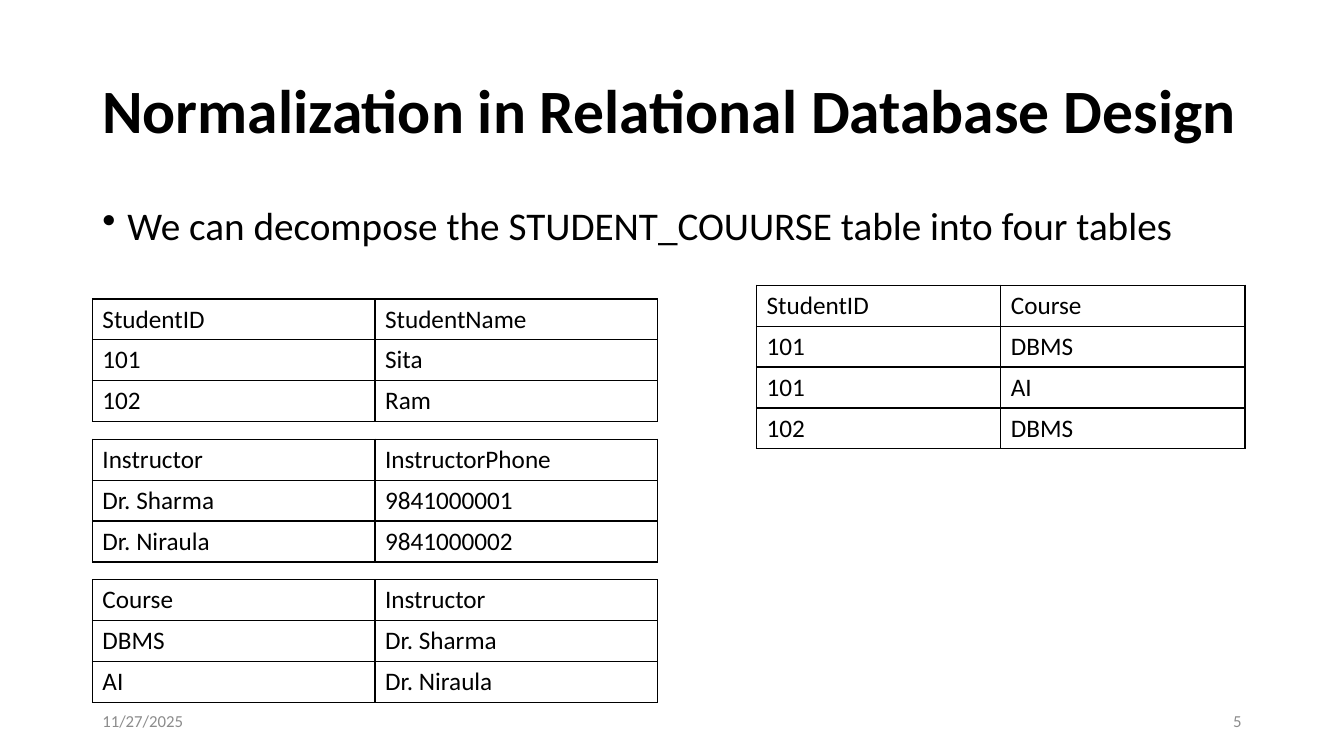
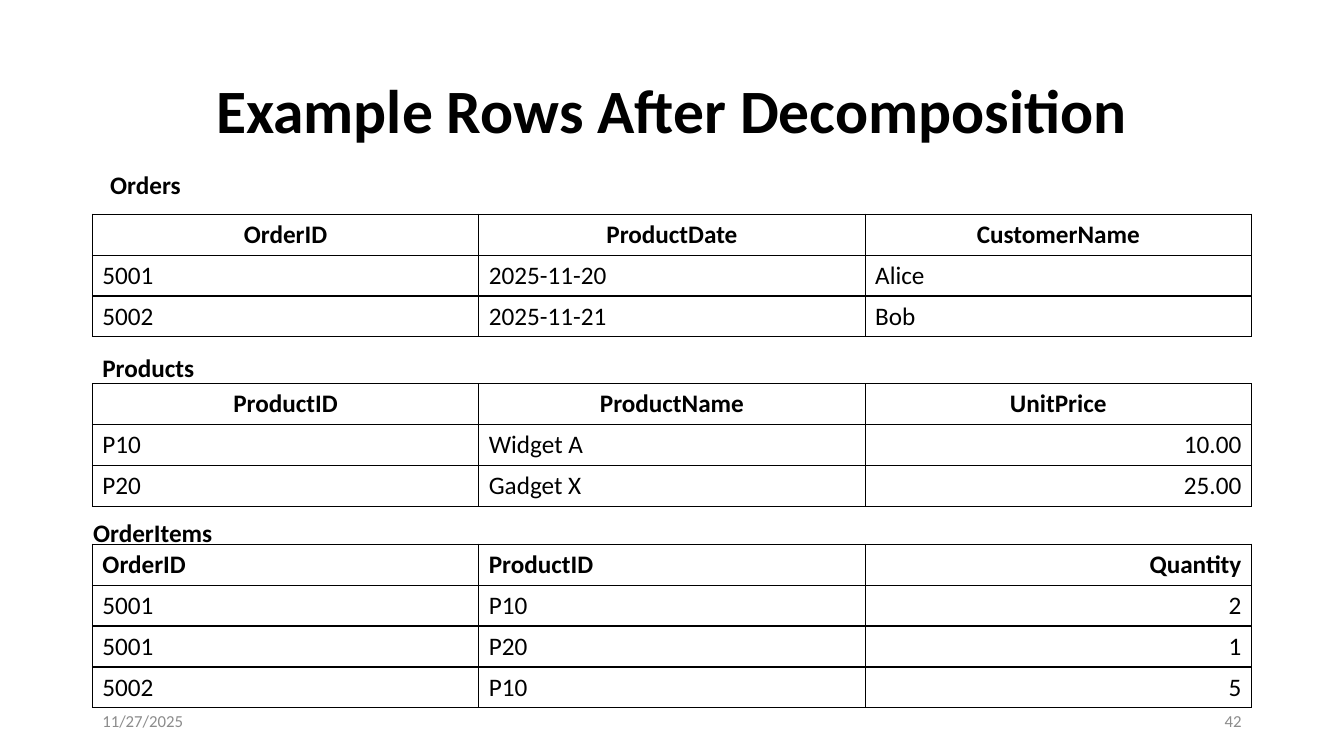
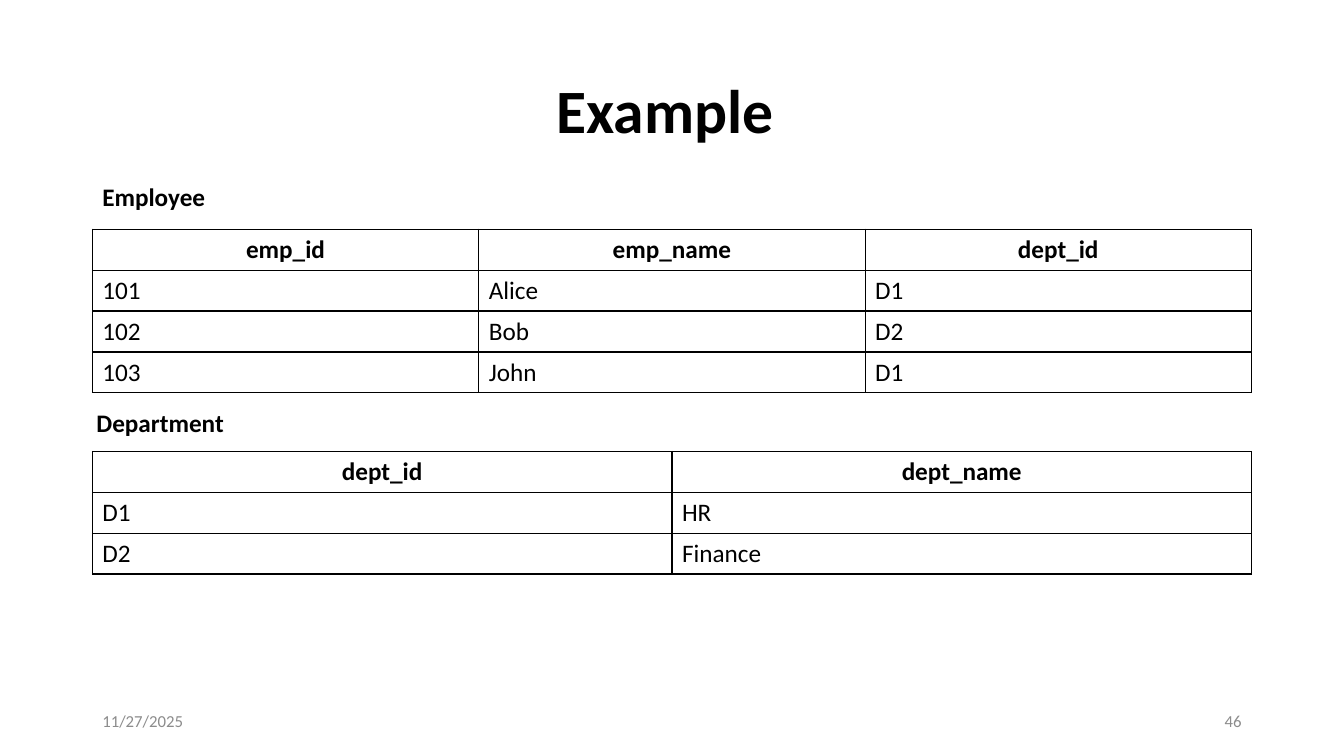
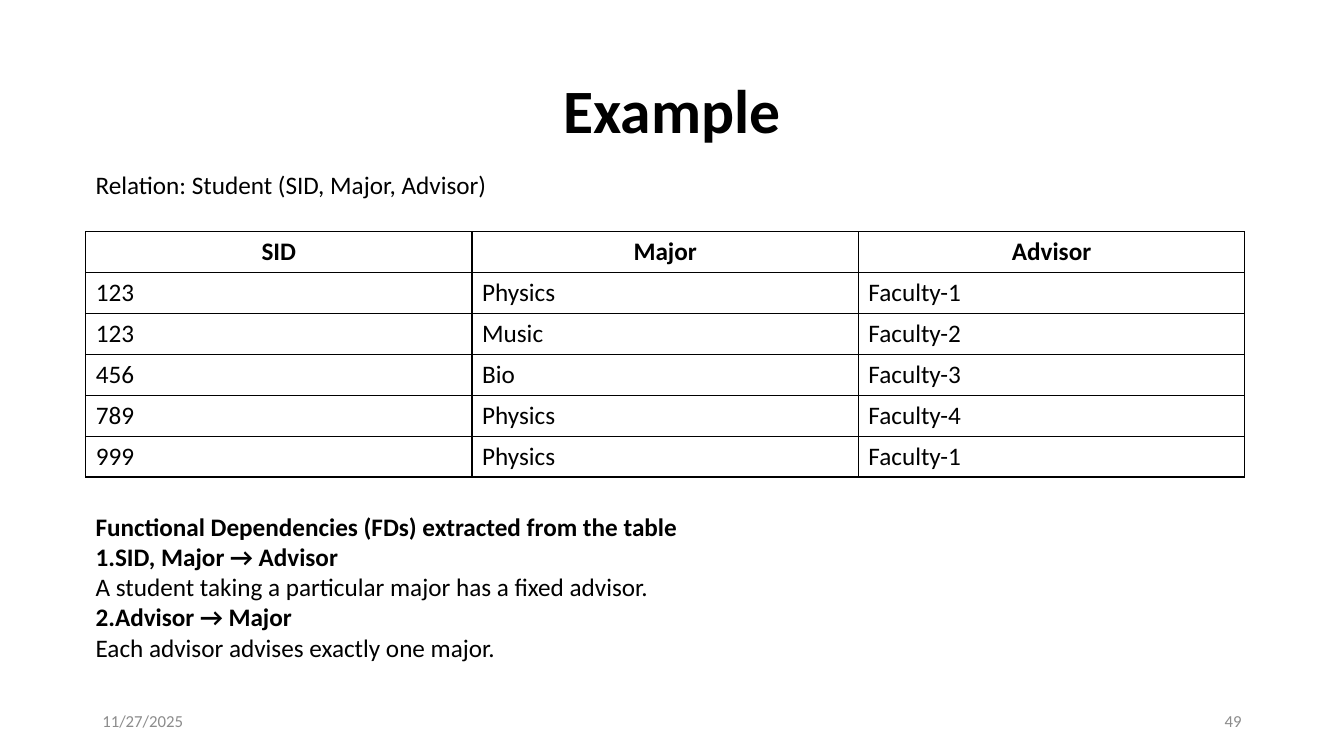
import dataclasses
import typing

import pptx
import pptx.dml.color
import pptx.enum.text
import pptx.oxml
import pptx.oxml.ns
import pptx.util

Pt = pptx.util.Pt
ALIGN = {
    "l": pptx.enum.text.PP_ALIGN.LEFT,
    "c": pptx.enum.text.PP_ALIGN.CENTER,
    "r": pptx.enum.text.PP_ALIGN.RIGHT,
}
MIDDLE = pptx.enum.text.MSO_ANCHOR.MIDDLE
TOP = pptx.enum.text.MSO_ANCHOR.TOP

FONT = "Calibri"
BLACK = "000000"
GREY = "8C8C8C"
LEFT = 66
CONTENT_W = 828
FOOTER_Y = 500.5
FOOTER_W = 216
ROW_H = 29.2
LABEL_H = 29
DATE = "11/27/2025"


@dataclasses.dataclass(frozen=True)
class Label:
    text: str
    x: float
    y: float
    w: float = 480
    bold: bool = True
    wrap: bool = True


@dataclasses.dataclass(frozen=True)
class Grid:
    x: float
    y: float
    w: float
    rows: tuple[tuple[str, ...], ...]
    head: str = "ccc"
    body: str = "lll"
    bold_head: bool = True


@dataclasses.dataclass(frozen=True)
class Page:
    title: str
    number: int
    grids: tuple[Grid, ...]
    labels: tuple[Label, ...] = ()
    align: str = "c"


def plain_grid(x: float, y: float, w: float, *rows: tuple[str, ...]) -> Grid:
    return Grid(x, y, w, rows, head="ll", body="ll", bold_head=False)


PAGES = (
    Page(
        "Normalization in Relational Database Design", 5,
        (
            plain_grid(LEFT, 213.6, 403.8, ("StudentID", "StudentName"),
                       ("101", "Sita"), ("102", "Ram")),
            plain_grid(LEFT, 313.8, 403.8, ("Instructor", "InstructorPhone"),
                       ("Dr. Sharma", "9841000001"), ("Dr. Niraula", "9841000002")),
            plain_grid(LEFT, 414, 403.8, ("Course", "Instructor"),
                       ("DBMS", "Dr. Sharma"), ("AI", "Dr. Niraula")),
            plain_grid(540.4, 203.8, 349, ("StudentID", "Course"),
                       ("101", "DBMS"), ("101", "AI"), ("102", "DBMS")),
        ),
        align="l",
    ),
    Page(
        "Example Rows After Decomposition", 42,
        (
            Grid(LEFT, 153, CONTENT_W, (
                ("OrderID", "ProductDate", "CustomerName"),
                ("5001", "2025-11-20", "Alice"),
                ("5002", "2025-11-21", "Bob"),
            )),
            Grid(LEFT, 274.2, CONTENT_W, (
                ("ProductID", "ProductName", "UnitPrice"),
                ("P10", "Widget A", "10.00"),
                ("P20", "Gadget X", "25.00"),
            ), body="llr"),
            Grid(LEFT, 388.8, CONTENT_W, (
                ("OrderID", "ProductID", "Quantity"),
                ("5001", "P10", "2"),
                ("5001", "P20", "1"),
                ("5002", "P10", "5"),
            ), head="llr", body="llr"),
        ),
        (
            Label("Orders", 71.6, 117.4),
            Label("Products", LEFT, 248.4),
            Label("OrderItems", 59.4, 366),
        ),
    ),
    Page(
        "Example ", 46,
        (
            Grid(LEFT, 163.8, CONTENT_W, (
                ("emp_id", "emp_name", "dept_id"),
                ("101", "Alice", "D1"),
                ("102", "Bob", "D2"),
                ("103", "John", "D1"),
            )),
            Grid(LEFT, 322.4, CONTENT_W, (
                ("dept_id", "dept_name"),
                ("D1", "HR"),
                ("D2", "Finance"),
            )),
        ),
        (
            Label("Employee", LEFT, 126.2, 88.6, wrap=False),
            Label("Department", 61.8, 287.4, 106.6, wrap=False),
        ),
    ),
    Page(
        "Example", 49,
        (
            Grid(61.2, 165.6, CONTENT_W, (
                ("SID", "Major", "Advisor"),
                ("123", "Physics", "Faculty-1"),
                ("123", "Music", "Faculty-2"),
                ("456", "Bio", "Faculty-3"),
                ("789", "Physics", "Faculty-4"),
                ("999", "Physics", "Faculty-1"),
            )),
        ),
        (Label("Relation: Student (SID, Major, Advisor)", 61.2, 117.4, bold=False),),
    ),
)

DEPENDENCIES = (
    ("SID, Major → Advisor", "A student taking a particular major has a fixed advisor."),
    ("Advisor → Major", "Each advisor advises exactly one major."),
)


def rgb(value: str) -> pptx.dml.color.RGBColor:
    return pptx.dml.color.RGBColor.from_string(value)


def set_font(font: typing.Any, size: float, bold: typing.Optional[bool] = False,
             color: str = BLACK) -> None:
    font.name = FONT
    font.size = Pt(size)
    font.bold = bold
    font.color.rgb = rgb(color)


def add_bullet(p: typing.Any, tag: str, **attributes: str) -> None:
    bullet = pptx.oxml.parse_xml(f"<a:{tag} {pptx.oxml.ns.nsdecls('a')}/>")
    for name, value in attributes.items():
        bullet.set(name, value)
    p._p.get_or_add_pPr().append(bullet)


def add_text(s: typing.Any, text: str, x: float, y: float, w: float, h: float,
             size: float, bold: typing.Optional[bool] = False, color: str = BLACK,
             align: str = "l", anchor: typing.Any = TOP, wrap: bool = True) -> typing.Any:
    tf = s.shapes.add_textbox(Pt(x), Pt(y), Pt(w), Pt(h)).text_frame
    tf.word_wrap = wrap
    tf.vertical_anchor = anchor
    p = tf.paragraphs[0]
    p.text = text
    p.alignment = ALIGN[align]
    set_font(p.font, size, bold, color)
    return tf


def add_borders(cell: typing.Any) -> None:
    tc_pr = cell._tc.get_or_add_tcPr()
    for i, side in enumerate(("lnL", "lnR", "lnT", "lnB")):
        tc_pr.insert(i, pptx.oxml.parse_xml(
            f'<a:{side} {pptx.oxml.ns.nsdecls("a")} w="{Pt(1)}"><a:solidFill>'
            f'<a:srgbClr val="{BLACK}"/></a:solidFill></a:{side}>'))


def add_grid(s: typing.Any, grid: Grid) -> None:
    n_rows, n_cols = len(grid.rows), len(grid.rows[0])
    table = s.shapes.add_table(n_rows, n_cols, Pt(grid.x), Pt(grid.y),
                               Pt(grid.w), Pt(ROW_H * n_rows)).table
    table.first_row = False
    table.horz_banding = False
    for column in table.columns:
        column.width = Pt(grid.w / n_cols)
    for i, row in enumerate(grid.rows):
        table.rows[i].height = Pt(ROW_H)
        aligns = grid.body if i else grid.head
        for j, text in enumerate(row):
            cell = table.cell(i, j)
            cell.fill.background()
            cell.vertical_anchor = MIDDLE
            add_borders(cell)
            p = cell.text_frame.paragraphs[0]
            p.text = text
            p.alignment = ALIGN[aligns[j]]
            set_font(p.font, 18, grid.bold_head and i == 0)


def add_page(prs: typing.Any, page: Page) -> typing.Any:
    s = prs.slides.add_slide(prs.slide_layouts[6])
    tf = add_text(s, page.title, LEFT, 28.8, CONTENT_W, 104.4, 44, True,
                  align=page.align, anchor=MIDDLE)
    tf.paragraphs[0].line_spacing = 0.9
    for grid in page.grids:
        add_grid(s, grid)
    for label in page.labels:
        add_text(s, label.text, label.x, label.y, label.w, LABEL_H, 18, label.bold,
                 wrap=label.wrap)
    footers = ((DATE, LEFT, "l"), (str(page.number), LEFT + CONTENT_W - FOOTER_W, "r"))
    for text, x, align in footers:
        add_text(s, text, x, FOOTER_Y, FOOTER_W, 28.8, 12, color=GREY,
                 align=align, anchor=MIDDLE)
    return s


def add_lead(s: typing.Any) -> None:
    tf = add_text(s, "We can decompose the STUDENT_COUURSE table into four tables",
                  LEFT, 143.8, CONTENT_W, 362.2, 28)
    p = tf.paragraphs[0]
    p.line_spacing = 0.9
    p_pr = p._p.get_or_add_pPr()
    p_pr.set("marL", str(Pt(18)))
    p_pr.set("indent", str(Pt(-18)))
    bullet = pptx.oxml.parse_xml(f'<a:buChar {pptx.oxml.ns.nsdecls("a")} char="•"/>')
    p_pr.insert_element_before(bullet, "a:tabLst", "a:defRPr", "a:extLst")


def add_dependencies(s: typing.Any) -> None:
    tf = add_text(s, "Functional Dependencies (FDs) extracted from the table",
                  61.2, 361.4, 543, 116.6, 18, True)
    for rule, meaning in DEPENDENCIES:
        p = tf.add_paragraph()
        add_bullet(p, "buAutoNum", type="arabicPeriod")
        r = p.add_run()
        r.text = rule
        set_font(r.font, 18, True)
        p.add_line_break()
        r = p.add_run()
        r.text = meaning
        set_font(r.font, 18)


def main() -> None:
    prs = pptx.Presentation()
    prs.slide_width = Pt(960)
    prs.slide_height = Pt(540)
    slides = [add_page(prs, page) for page in PAGES]
    add_lead(slides[0])
    add_dependencies(slides[-1])
    prs.save("out.pptx")


if __name__ == "__main__":
    main()
